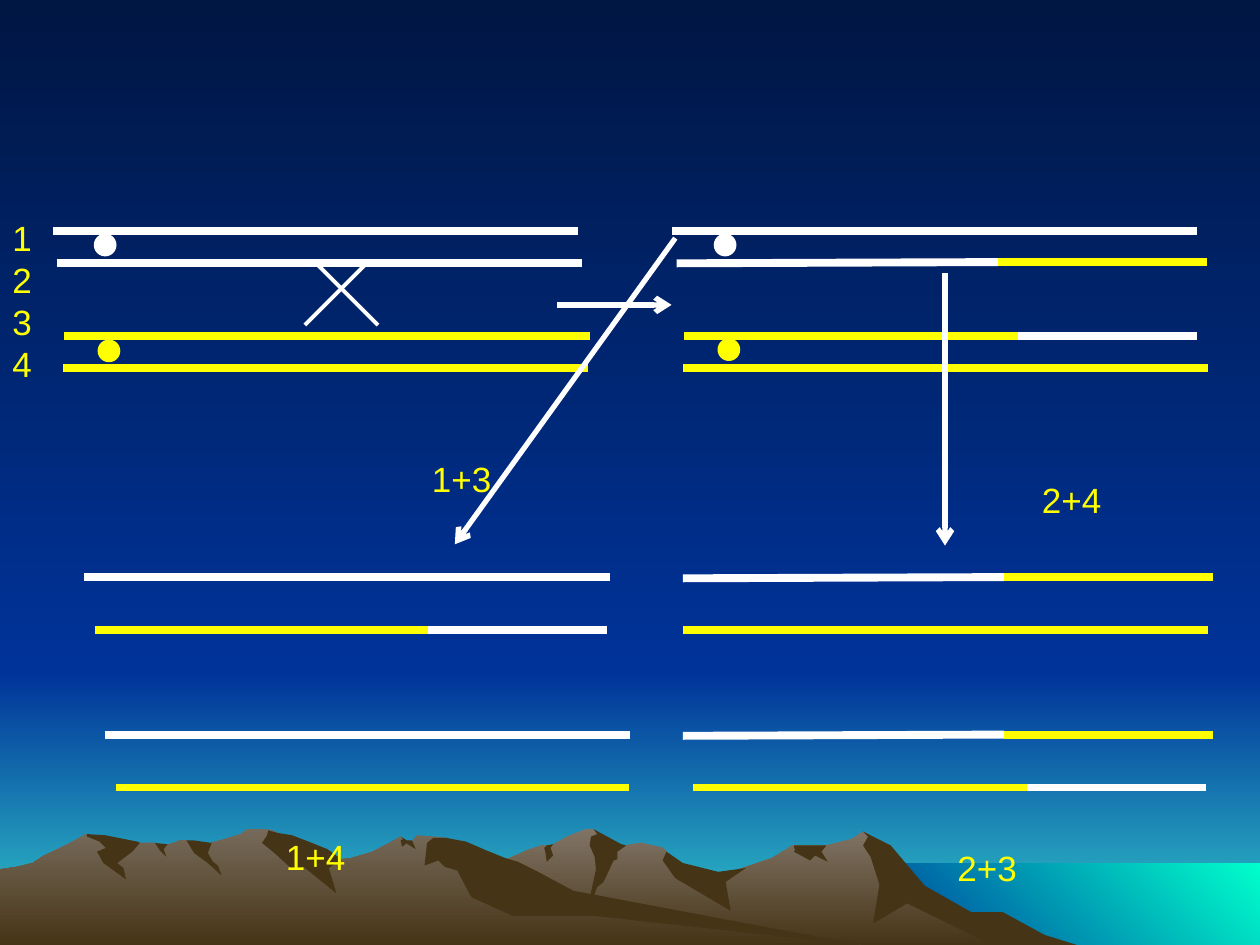
"""Build a slide of chromatid strands crossing over above a mountain scene."""
import pptx
import pptx.dml.color
import pptx.enum.shapes
import pptx.enum.text
import pptx.util
import lxml.etree

RGB = pptx.dml.color.RGBColor
WHITE = RGB(0xFF, 0xFF, 0xFF)
YELLOW = RGB(0xFF, 0xFF, 0x00)
NIGHT = RGB(0x00, 0x16, 0x43)
BLUE = RGB(0x00, 0x33, 0x99)
TEAL = RGB(0x33, 0xCC, 0xCC)
MINT = RGB(0x00, 0xFF, 0xCC)
STONE = RGB(0x80, 0x74, 0x66)
ROCK = RGB(0x76, 0x6A, 0x5A)
EARTH = RGB(0x46, 0x34, 0x16)

DOWN, RISE = 270, 45
SKY = [
    ((0, 533, 1000, 750), BLUE, TEAL, DOWN),
    ((0, 0, 1000, 533), NIGHT, BLUE, DOWN),
    ((683, 685, 1000, 752), BLUE, MINT, RISE),
]

RIGHT = [
    (802, 740), (778, 727), (764, 723), (723, 698), (702, 671), (685, 660),
    (676, 666), (656, 671), (629, 671), (613, 681), (566, 697), (536, 690),
    (529, 676), (526, 673), (509, 669), (497, 671), (486, 673), (474, 661),
    (471, 658), (465, 658), (450, 664), (438, 671), (430, 671), (418, 675),
    (405, 681), (394, 685), (355, 698), (327, 709), (277, 739), (258, 751),
    (821, 751),
]
LEFT = [
    (690, 751), (667, 748), (432, 712), (354, 665), (331, 663), (327, 668),
    (323, 668), (318, 664), (296, 676), (279, 681), (271, 682), (260, 676),
    (236, 681), (223, 663), (219, 660), (212, 658), (196, 658), (191, 662),
    (178, 666), (160, 671), (148, 667), (143, 667), (132, 671), (128, 671),
    (123, 669), (111, 669), (94, 671), (68, 662), (56, 669), (46, 674),
    (35, 679), (26, 685), (14, 688), (0, 690), (0, 751),
]
SHADE_R = [
    [(796, 724), (771, 724), (734, 703), (707, 671), (685, 660), (689, 664),
     (685, 671), (691, 680), (698, 702), (693, 733), (720, 717), (792, 752),
     (858, 751), (829, 742)],
    [(471, 658), (474, 662), (469, 664), (468, 671), (472, 680), (473, 690),
     (465, 727), (474, 704), (479, 700), (487, 683), (490, 682), (490, 676),
     (497, 671), (493, 670)],
    [(529, 676), (526, 683), (536, 697), (580, 723), (576, 700), (592, 689),
     (570, 692), (542, 685)],
    [(650, 671), (630, 671), (631, 675), (630, 676), (643, 683), (647, 679),
     (657, 684), (652, 676), (656, 671)],
    [(433, 677), (432, 673), (434, 671), (439, 670), (437, 673), (439, 679),
     (434, 684)],
]
SHADE_L = [
    [(212, 663), (208, 669), (219, 678), (232, 690), (241, 688), (267, 709),
     (261, 689), (271, 682), (260, 674), (245, 668), (232, 663), (220, 661),
     (213, 659)],
    [(370, 668), (354, 665), (344, 665), (339, 669), (337, 687), (348, 683),
     (353, 688), (363, 691), (374, 712), (407, 727), (472, 727), (690, 751),
     (683, 750), (455, 707), (427, 692), (411, 684), (401, 681), (386, 675)],
    [(318, 667), (320, 666), (318, 664), (323, 667), (327, 667), (330, 674),
     (322, 669), (322, 670), (319, 672)],
    [(154, 667), (168, 669), (165, 677), (169, 684), (173, 687), (176, 695),
     (165, 685), (154, 677), (148, 667)],
    [(133, 670), (130, 674), (132, 680), (127, 675), (123, 669)],
    [(109, 668), (111, 669), (105, 676), (93, 685), (98, 689), (100, 698),
     (82, 685), (77, 676), (84, 673), (79, 668), (69, 664), (69, 662),
     (84, 663), (94, 665)],
]

PLAIN_W = [(4.17, 0, WHITE)]
PLAIN_Y = [(4.17, 0, YELLOW)]
SHORT_Y = [(4.07, 0, YELLOW)]
SWAP_WY = [(2.55, -0.01, WHITE), (1.66, 0, YELLOW)]
SWAP_YW = [(2.65, 0, YELLOW), (1.42, 0, WHITE)]
STRANDS = [
    (0.42, 1.83, PLAIN_W), (0.45, 2.09, PLAIN_W),
    (0.5, 2.92, PLAIN_Y), (0.51, 2.67, PLAIN_Y),
    (5.33, 1.83, PLAIN_W), (5.37, 2.09, SWAP_WY),
    (5.43, 2.67, SWAP_YW), (5.42, 2.92, PLAIN_Y),
    (0.67, 4.58, PLAIN_W), (0.75, 5, SWAP_YW),
    (5.42, 4.59, SWAP_WY), (5.42, 5, PLAIN_Y),
    (0.83, 5.83, PLAIN_W), (0.92, 6.25, SHORT_Y),
    (5.42, 5.84, SWAP_WY), (5.5, 6.25, SWAP_YW),
]
DOTS = [(0.75, 1.86, WHITE), (0.78, 2.7, YELLOW),
        (5.67, 1.86, WHITE), (5.7, 2.69, YELLOW)]
CROSS = [(2.92, 2.08, 2.42, 2.58), (2.5, 2.08, 3, 2.58)]
ARROWS = [(4.42, 2.42, 5.33, 2.42), (5.36, 1.89, 3.61, 4.32),
          (7.5, 2.17, 7.5, 4.33)]
LABELS = [
    (3.33, 3.58, 0.68, 0.44, "1+3"), (8.17, 3.75, 0.68, 0.44, "2+4"),
    (2.17, 6.58, 0.68, 0.44, "1+4"), (7.5, 6.67, 0.68, 0.44, "2+3"),
    (0, 1.67, 0.36, 1.45, "1\n2\n3\n4"),
]


def size(num):
    """Turn inches into a length."""
    return pptx.util.Cm(num * 2.54)


def land(shapes, dots, top, end=None, turn=DOWN):
    """Draw a closed outline in one colour or a blend of two."""
    pen = shapes.build_freeform(*dots[0], scale=size(0.01))
    pen.add_line_segments(dots[1:], close=True)
    form = pen.convert_to_shape()
    form.shadow.inherit = False
    form.line.fill.background()
    if end is None:
        form.fill.solid()
        form.fill.fore_color.rgb = top
        return
    form.fill.gradient()
    form.fill.gradient_angle = turn
    for stop, tint, spot in zip(form.fill.gradient_stops, (top, end), (0, 1)):
        stop.color.rgb = tint
        stop.position = spot


def rule(shapes, ends, tint, width, arrow=False):
    """Draw a straight line, with an arrowhead on request."""
    line = shapes.add_connector(
        pptx.enum.shapes.MSO_CONNECTOR.STRAIGHT, *map(size, ends))
    line.line.color.rgb = tint
    line.line.width = pptx.util.Pt(width)
    space = "{http://schemas.openxmlformats.org/drawingml/2006/main}"
    if arrow:
        head = lxml.etree.SubElement(line.line._ln, space + "tailEnd")
        head.set("type", "arrow")
    lxml.etree.SubElement(line._element.spPr, space + "effectLst")


def label(shapes, left, top, wide, high, text):
    """Write a yellow label."""
    box = shapes.add_textbox(*map(size, (left, top, wide, high)))
    frame = box.text_frame
    frame.text = text
    frame.word_wrap = False
    frame.auto_size = pptx.enum.text.MSO_AUTO_SIZE.SHAPE_TO_FIT_TEXT
    for para in frame.paragraphs:
        para.line_spacing = pptx.util.Pt(24)
        for run in para.runs:
            run.font.name = "Arial"
            run.font.size = pptx.util.Pt(20)
            run.font.color.rgb = YELLOW


def main():
    """Put the slide together and save it."""
    deck = pptx.Presentation()
    deck.slide_width, deck.slide_height = size(10), size(7.5)
    slide = deck.slides.add_slide(deck.slide_layouts[6])
    slide.background.fill.solid()
    slide.background.fill.fore_color.rgb = BLUE
    shapes = slide.shapes
    for (x, y, far, low), top, end, turn in SKY:
        land(shapes, [(far, low), (x, low), (x, y), (far, y)], top, end, turn)
    for hill, tint, shades in ((RIGHT, STONE, SHADE_R), (LEFT, ROCK, SHADE_L)):
        land(shapes, hill, tint, EARTH)
        for shade in shades:
            land(shapes, shade, EARTH)
    for x, y, parts in STRANDS:
        for wide, drop, tint in parts:
            rule(shapes, (x, y, x + wide, y + drop), tint, 4.5)
            x, y = x + wide, y + drop
    for x, y, tint in DOTS:
        dot = shapes.add_shape(pptx.enum.shapes.MSO_SHAPE.OVAL,
                               *map(size, (x, y, 0.17, 0.17)))
        dot.shadow.inherit = False
        dot.fill.solid()
        dot.fill.fore_color.rgb = dot.line.color.rgb = tint
        dot.line.width = pptx.util.Pt(0.75)
    for ends in CROSS:
        rule(shapes, ends, WHITE, 2.25)
    for ends in ARROWS:
        rule(shapes, ends, WHITE, 3, True)
    for item in LABELS:
        label(shapes, *item)
    deck.save("out.pptx")


if __name__ == "__main__":
    main()
